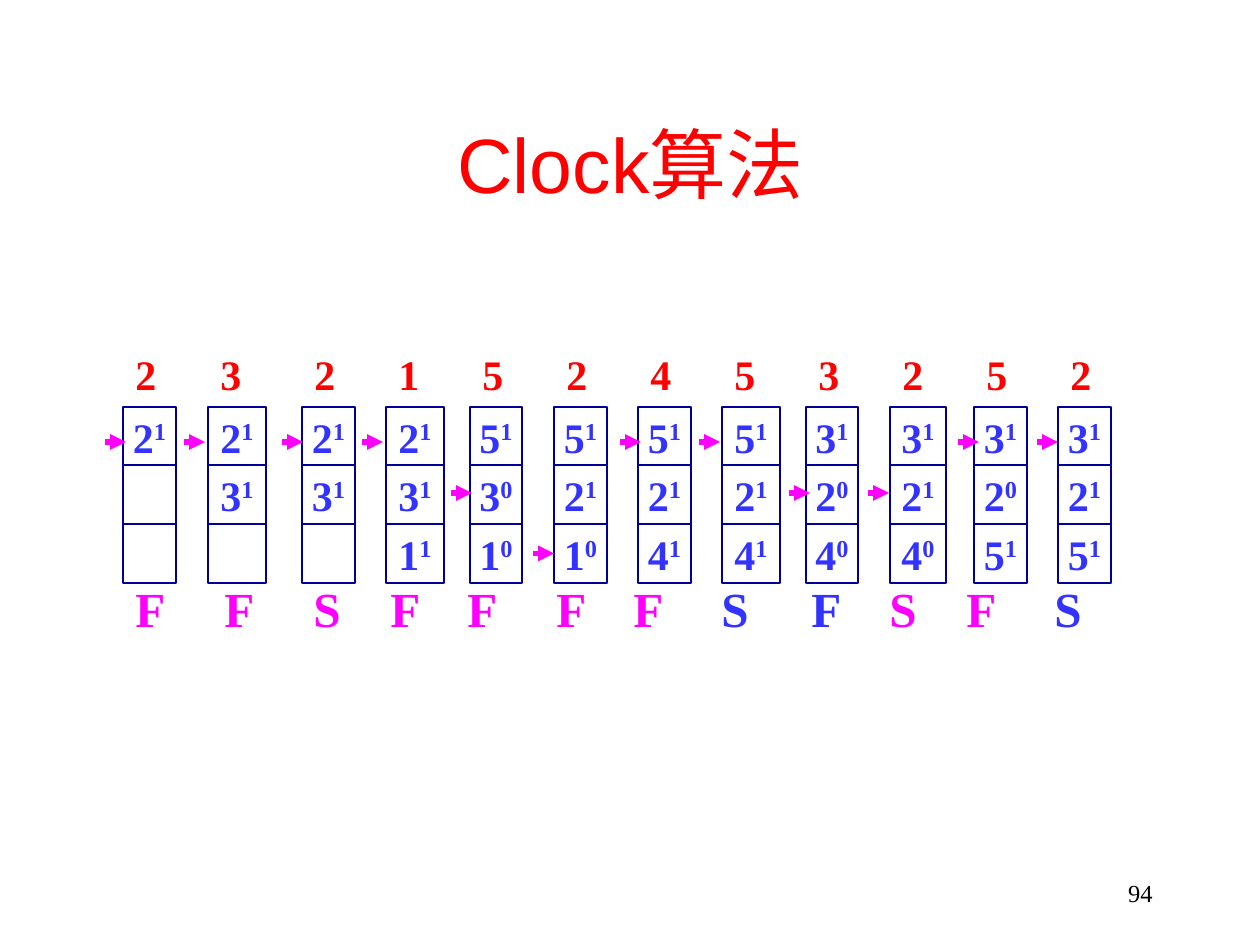
from dataclasses import dataclass

from lxml import etree
from pptx import Presentation
from pptx.dml.color import RGBColor
from pptx.enum.shapes import MSO_CONNECTOR, MSO_SHAPE
from pptx.enum.text import MSO_ANCHOR, PP_ALIGN
from pptx.oxml.ns import qn
from pptx.util import Emu, Pt

RECT = MSO_SHAPE.RECTANGLE
STRAIGHT = MSO_CONNECTOR.STRAIGHT
MIDDLE = MSO_ANCHOR.MIDDLE
LEFT, CENTER, RIGHT = PP_ALIGN.LEFT, PP_ALIGN.CENTER, PP_ALIGN.RIGHT
LEFT_SIDE = 1

EMU_PER_PX = 914400 / 126
COLORS = {"white": "FFFFFF", "black": "000000", "red": "FF0000",
          "blue": "3333FF", "navy": "000099", "magenta": "FF00FF"}
SERIF, SANS = "Times New Roman", "Arial"

ROW_TOPS = (407, 465, 524)
CELL_HEIGHT = 59
HAND_YS = (442, 493, 553)
HAND_LENGTH = 21


@dataclass
class Run:
    text: str
    color: str
    superscript: bool = False


@dataclass
class Step:
    """One page request: its frames, the clock hand and the outcome."""
    page: str
    left: int
    width: int
    frames: tuple[str, ...]  # page number followed by its use bit
    hand_left: int
    hand_row: int
    outcome: str
    outcome_tab: int
    outcome_color: str = "magenta"


STEPS = (
    Step("2", 123, 53, ("21", "", ""), 105, 0, "F", 0),
    Step("3", 208, 58, ("21", "31", ""), 184, 0, "F", 89),
    Step("2", 302, 53, ("21", "31", ""), 282, 0, "S", 178),
    Step("1", 386, 58, ("21", "31", "11"), 362, 0, "F", 255),
    Step("5", 470, 52, ("51", "30", "10"), 451, 1, "F", 332),
    Step("2", 554, 53, ("51", "21", "10"), 533, 2, "F", 421),
    Step("4", 638, 53, ("51", "21", "41"), 620, 0, "F", 498),
    Step("5", 722, 58, ("51", "21", "41"), 699, 0, "S", 586, "blue"),
    Step("3", 806, 52, ("31", "20", "40"), 789, 1, "F", 676, "blue"),
    Step("2", 890, 56, ("31", "21", "40"), 868, 1, "S", 754),
    Step("5", 974, 53, ("31", "20", "51"), 958, 0, "F", 831),
    Step("2", 1058, 53, ("31", "21", "51"), 1037, 0, "S", 919, "blue"),
)


def px(length: int) -> Emu:
    return Emu(round(length * EMU_PER_PX))


def rgb(name: str) -> RGBColor:
    return RGBColor.from_string(COLORS[name])


def write(shape, runs: list[Run], *, size: int, font: str = SERIF, bold: bool = False,
          align=CENTER, wrap: bool = True, tabs: tuple[int, ...] = ()) -> None:
    frame = shape.text_frame
    frame.word_wrap = wrap
    frame.vertical_anchor = MIDDLE
    paragraph = frame.paragraphs[0]
    paragraph.alignment = align
    if tabs:
        stops = etree.SubElement(paragraph._p.get_or_add_pPr(), qn("a:tabLst"))
        for tab in tabs:
            etree.SubElement(stops, qn("a:tab"), pos=str(px(tab)), algn="l")
    for item in runs:
        run = paragraph.add_run()
        run.text = item.text
        run.font.name = font
        run.font.size = Pt(size)
        run.font.bold = bold
        run.font.color.rgb = rgb(item.color)
        if item.superscript:
            run._r.get_or_add_rPr().set("baseline", "30000")


def add_box(shapes, left: int, top: int, width: int, height: int):
    return shapes.add_textbox(px(left), px(top), px(width), px(height))


def add_rect(shapes, left: int, top: int, width: int, height: int, line: str = ""):
    rect = shapes.add_shape(RECT, px(left), px(top), px(width), px(height))
    rect.shadow.inherit = False
    rect.fill.solid()
    rect.fill.fore_color.rgb = rgb("white")
    if line:
        rect.line.color.rgb = rgb(line)
        rect.line.width = Pt(1.5)
    else:
        rect.line.fill.background()
    return rect


def add_frames(shapes, step: Step) -> list:
    column = shapes.add_group_shape().shapes
    cells = []
    for top, frame in zip(ROW_TOPS, step.frames):
        cell = add_rect(column, step.left, top, step.width, CELL_HEIGHT, "navy")
        if frame:
            page, use_bit = frame
            write(cell, [Run(page, "blue"), Run(use_bit, "blue", True)],
                  size=24, bold=True, wrap=False)
        cells.append(cell)
    return cells


def add_hand(shapes, step: Step, cell) -> None:
    on_last_row = step.hand_row == len(ROW_TOPS) - 1
    y = cell.top + cell.height // 2 if on_last_row else px(HAND_YS[step.hand_row])
    hand = shapes.add_connector(STRAIGHT, px(step.hand_left), y,
                                px(step.hand_left + HAND_LENGTH), y)
    if on_last_row:  # only here does the hand meet the middle of the side
        hand.end_connect(cell, LEFT_SIDE)
    hand.line.color.rgb = rgb("magenta")
    hand.line.width = Pt(3)
    etree.SubElement(hand.line._get_or_add_ln(), qn("a:tailEnd"), type="triangle")
    etree.SubElement(hand._element.spPr, qn("a:effectLst"))


def tabbed(labels: list[Run]) -> list[Run]:
    return [Run("\t" * (i > 0) + label.text, label.color) for i, label in enumerate(labels)]


def main() -> None:
    presentation = Presentation()
    presentation.slide_width, presentation.slide_height = px(1260), px(945)
    shapes = presentation.slides.add_slide(presentation.slide_layouts[6]).shapes

    # Title and page number
    write(add_box(shapes, 95, 84, 1071, 158), [Run("Clock算法", "red")], size=44, font=SANS)
    write(add_box(shapes, 903, 861, 262, 63), [Run("94", "black")], size=14, align=RIGHT)

    # Requested pages above, outcomes below
    first, *later = STEPS
    write(add_rect(shapes, 123, 344, 1018, 59),
          tabbed([Run(step.page, "red") for step in STEPS]), size=24, bold=True,
          align=LEFT, tabs=tuple(step.left - first.left for step in later))
    write(add_rect(shapes, 123, 578, 1008, 59),
          tabbed([Run(step.outcome, step.outcome_color) for step in STEPS]), size=28,
          bold=True, align=LEFT, tabs=tuple(step.outcome_tab for step in later))

    # Frames of each step, then the clock hands
    columns = [add_frames(shapes, step) for step in STEPS]
    for step, cells in zip(STEPS, columns):
        add_hand(shapes, step, cells[step.hand_row])

    presentation.save("out.pptx")


if __name__ == "__main__":
    main()
